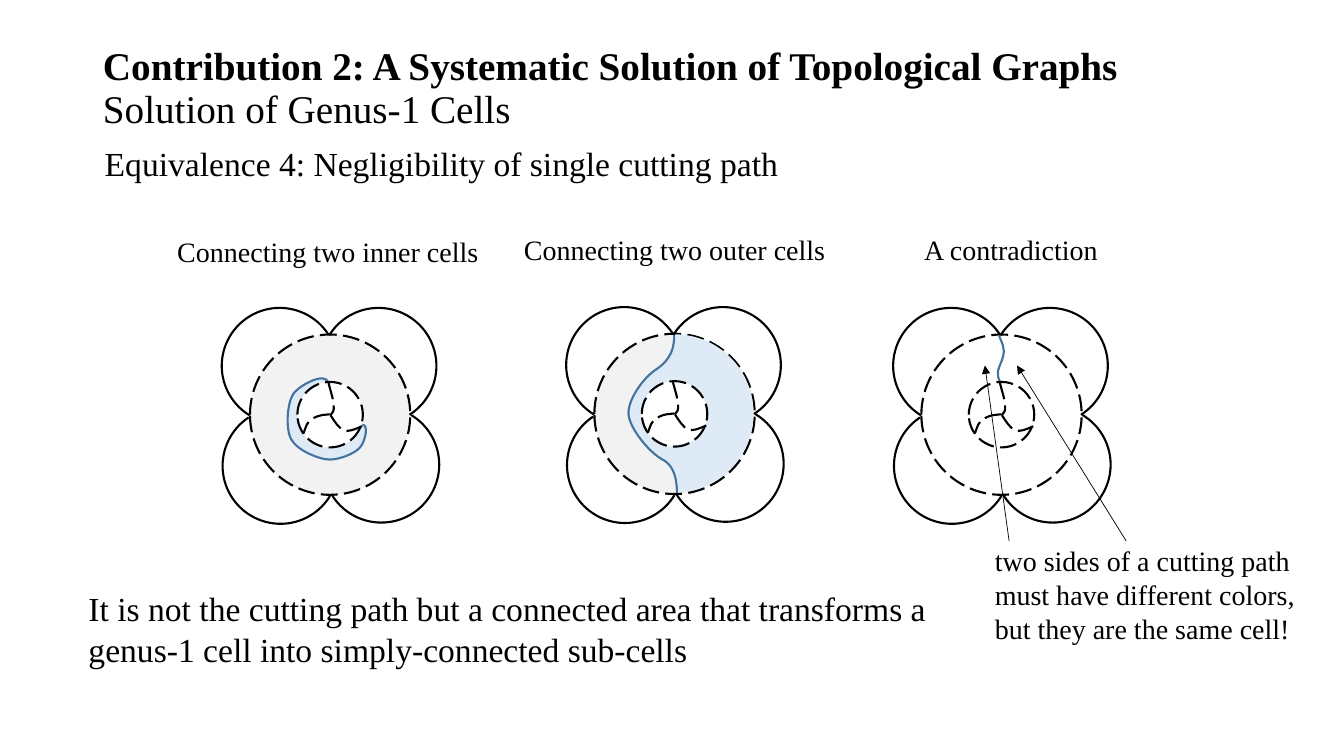
from lxml import etree
from pptx import Presentation
from pptx.dml.color import RGBColor
from pptx.enum.dml import MSO_LINE
from pptx.enum.shapes import MSO_CONNECTOR, MSO_SHAPE
from pptx.enum.text import MSO_ANCHOR, MSO_AUTO_SIZE, PP_ALIGN
from pptx.oxml.ns import qn
from pptx.util import Cm, Pt

BLACK = RGBColor(0x00, 0x00, 0x00)
WHITE = RGBColor(0xFF, 0xFF, 0xFF)
GREY = RGBColor(0xF2, 0xF2, 0xF2)
PALE_BLUE = RGBColor(0xDE, 0xEB, 0xF7)
BLUE = RGBColor(0x43, 0x73, 0x9E)

FONT = "Times New Roman"
DASH = MSO_LINE.LONG_DASH
OVAL, ARC, PIE = MSO_SHAPE.OVAL, MSO_SHAPE.ARC, MSO_SHAPE.PIE
LEFT, CENTER = PP_ALIGN.LEFT, PP_ALIGN.CENTER
MIDDLE = MSO_ANCHOR.MIDDLE
STEPS = 12  # samples per Bézier segment, to find a curve's extent

# Flower geometry in cm, measured from the flower's centre
RING, HUB, HALF, PETAL = 4.04, 1.65, 3.94, 2.92
PETALS = [  # left, top, start and end of the arc
    (-0.24, -2.69, 127.02, 34.56),
    (-2.73, -2.69, 72.78, 196.09),
    (-2.71, -0.17, 18.8, 141.99),
    (-0.17, -0.2, 180.56, 89.68),
]
SPOKES = [
    [(-0.04, -0.8), (0.01, -0.6), (0.09, -0.37), (0.09, -0.24),
     (0.11, -0.09), (0.06, -0.04), (0.01, 0.01)],
    [(-0.01, -0.01), (-0.14, 0.01), (-0.24, -0.01), (-0.42, 0.09),
     (-0.6, 0.19), (-0.6, 0.29), (-0.67, 0.47)],
    [(0.01, 0.01), (0.11, 0.17), (0.22, 0.34), (0.34, 0.39),
     (0.47, 0.44), (0.62, 0.37), (0.8, 0.29)],
]
INNER_CUT = [
    (-0.04, -0.8), (-0.11, -1.1), (-0.77, -0.75), (-0.93, -0.52),
    (-1.08, -0.29), (-1.13, 0.34), (-0.98, 0.62), (-0.83, 0.9),
    (-0.27, 1.13), (-0.01, 1.13), (0.24, 1.13), (0.62, 0.98),
    (0.75, 0.83), (0.9, 0.67), (0.98, 0.19), (0.8, 0.27)]
OUTER_CUT = [
    (-0.01, -2.02), (0.01, -1.51), (-0.22, -1.28), (-0.52, -1.08),
    (-0.83, -0.85), (-1.18, -0.34), (-1.16, 0.01), (-1.13, 0.37),
    (-0.65, 0.95), (-0.34, 1.13), (-0.01, 1.28), (0.06, 1.64), (0.06, 1.99)]
SHORT_CUT = [
    (-0.06, -1.99), (0.04, -1.74), (0.06, -1.71), (0.06, -1.59),
    (0.06, -1.44), (-0.06, -1.23), (-0.09, -1.1),
    (-0.09, -0.98), (-0.09, -0.93), (-0.04, -0.83)]


def set_style(sp, fill=None, line=BLACK, width=1.5, dash=None):
    sp.shadow.inherit = False
    if fill is None:
        sp.fill.background()
    else:
        sp.fill.solid()
        sp.fill.fore_color.rgb = fill
    sp.line.color.rgb = line
    sp.line.width = Pt(width)
    if dash:
        sp.line.dash_style = dash


def add_run(p, text, size, bold=False):
    r = p.add_run()
    r.text = text
    for name, value in {"name": FONT, "size": Pt(size), "bold": bold}.items():
        setattr(r.font, name, value)
    r.font.color.rgb = BLACK


def add_text(s, box, text, size, align=LEFT, wrap=True, spacing=1.0):
    tf = s.shapes.add_textbox(*map(Cm, box)).text_frame
    tf.word_wrap = wrap
    p = tf.paragraphs[0]
    p.alignment, p.line_spacing = align, spacing
    add_run(p, text, size)


def add_title(s, box, heading, subheading):
    sp = s.shapes.title
    sp.left, sp.top, sp.width, sp.height = map(Cm, box)
    tf = sp.text_frame
    settings = {"word_wrap": True, "auto_size": MSO_AUTO_SIZE.NONE,
                "vertical_anchor": MIDDLE}
    for name, value in settings.items():
        setattr(tf, name, value)
    p = tf.paragraphs[0]
    p.alignment, p.line_spacing = LEFT, 0.9
    add_run(p, heading, 28, bold=True)
    p.add_line_break()
    etree.SubElement(p._p.find(qn("a:br")), qn("a:rPr"), sz="2800")
    add_run(p, subheading, 28)


def bezier(points):
    """Sample a chain of cubic Bézier segments."""
    samples = [points[0]]
    for i in range(0, len(points) - 1, 3):
        for step in range(1, STEPS + 1):
            t = step / STEPS
            weights = ((1 - t) ** 3, 3 * t * (1 - t) ** 2,
                       3 * t * t * (1 - t), t ** 3)
            samples.append(tuple(
                sum(w * pt[axis] for w, pt in zip(weights, points[i:i + 4]))
                for axis in (0, 1)))
    return samples


def add_curve(s, cx, cy, points, **style):
    # The sampled outline fixes the frame of the shape
    samples = [(Cm(cx + x), Cm(cy + y)) for x, y in bezier(points)]
    builder = s.shapes.build_freeform(*samples[0])
    builder.add_line_segments(samples[1:], close=False)
    sp = builder.convert_to_shape()
    # True Bézier segments take the place of the straight ones
    outline = next(sp._element.iter(qn("a:path")))
    for segment in outline.findall(qn("a:lnTo")):
        outline.remove(segment)
    for i, (x, y) in enumerate(points[1:]):
        if i % 3 == 0:
            curve = etree.SubElement(outline, qn("a:cubicBezTo"))
        etree.SubElement(curve, qn("a:pt"), x=str(Cm(cx + x) - sp.left),
                         y=str(Cm(cy + y) - sp.top))
    set_style(sp, **style)


def add_disc(s, cx, cy, size, kind=OVAL, **style):
    sp = s.shapes.add_shape(kind, Cm(cx - size / 2), Cm(cy - size / 2),
                            Cm(size), Cm(size))
    set_style(sp, **style)
    return sp


def add_flower(s, cx, cy, cut, ring_fill=None, area_fill=None, hub_fill=None,
               half=False):
    # Ring and the area split off by the cutting path
    add_disc(s, cx, cy, RING, fill=ring_fill, dash=DASH)
    if half:
        sp = add_disc(s, cx, cy - 0.02, HALF, PIE, fill=area_fill,
                      line=area_fill, width=1)
        sp.adjustments[0], sp.adjustments[1] = 56.02, 162.33
        sp.rotation = 176.9
    add_curve(s, cx, cy, cut, fill=area_fill, line=BLUE)
    # Hub, petals and spokes
    add_disc(s, cx, cy, HUB, fill=hub_fill, dash=DASH)
    for x, y, start, end in PETALS:
        sp = add_disc(s, cx + x + PETAL / 2, cy + y + PETAL / 2, PETAL, ARC)
        sp.adjustments[0], sp.adjustments[1] = start, end
    for spoke in SPOKES:
        add_curve(s, cx, cy, spoke, dash=DASH)


def add_arrow(s, x1, y1, x2, y2):
    c = s.shapes.add_connector(MSO_CONNECTOR.STRAIGHT,
                               *map(Cm, (x1, y1, x2, y2)))
    c.line.color.rgb = BLACK
    c.line.width = Pt(0.5)
    etree.SubElement(c.line._get_or_add_ln(), qn("a:tailEnd"), type="triangle")
    etree.SubElement(c._element.spPr, qn("a:effectLst"))


def add_note(s, x, y):
    """Note on the contradiction, with arrows to both sides of the path."""
    add_text(s, (x, y, 8.66, 2.82), "two sides of a cutting path must have "
             "different colors, but they are the same cell!", 20)
    for start, end in ((0.61, 0), (3.56, 0.81)):
        add_arrow(s, x + start, y + 0.05, x + end, y - 4.37)


def main():
    prs = Presentation()
    prs.slide_width, prs.slide_height = Cm(33.87), Cm(19.05)
    s = prs.slides.add_slide(prs.slide_layouts[5])

    # Headings
    add_title(s, (2.34, 1.02, 29.21, 2.46),
              "Contribution 2: A Systematic Solution of Topological Graphs",
              "Solution of Genus-1 Cells")
    add_text(s, (2.39, 3.59, 26.52, 1.52),
             "Equivalence 4: Negligibility of single cutting path", 24,
             spacing=0.9)

    # Three cases with their captions
    add_text(s, (4.19, 5.78, 8.15, 1.12), "Connecting two inner cells", 20,
             CENTER, wrap=False)
    add_text(s, (12.93, 5.74, 8.15, 1.12), "Connecting two outer cells", 20,
             CENTER, wrap=False)
    add_text(s, (23.04, 5.74, 5.33, 1.12), "A contradiction", 20)
    add_flower(s, 8.32, 10.45, INNER_CUT, GREY, PALE_BLUE, WHITE)
    add_flower(s, 17, 10.43, OUTER_CUT, GREY, PALE_BLUE, WHITE, half=True)
    add_flower(s, 25.24, 10.45, SHORT_CUT)

    # Conclusion and note
    add_text(s, (1.98, 14.7, 21.82, 2.31), "It is not the cutting path but a "
             "connected area that transforms a genus-1 cell into "
             "simply-connected sub-cells", 24)
    add_note(s, 24.82, 13.58)
    prs.save("out.pptx")


if __name__ == "__main__":
    main()
